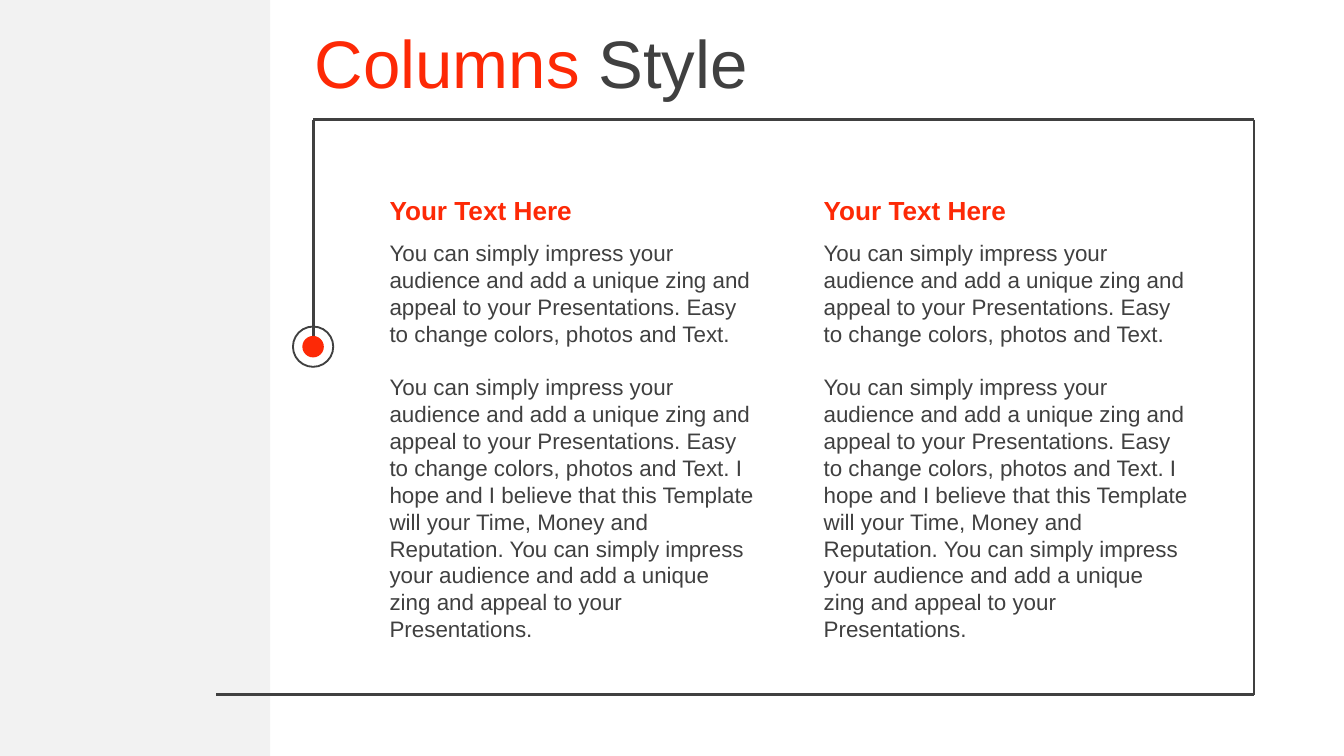
from lxml.etree import SubElement
from pptx import Presentation
from pptx.dml.color import RGBColor
from pptx.enum.shapes import MSO_CONNECTOR, MSO_SHAPE
from pptx.enum.text import MSO_ANCHOR, PP_ALIGN
from pptx.oxml.ns import qn
from pptx.util import Inches, Pt

RED = RGBColor(0xFD, 0x29, 0x06)
DARK = RGBColor(0x40, 0x40, 0x40)
PALE = RGBColor(0xF2, 0xF2, 0xF2)
WIDTH = 10
HEIGHT = WIDTH * 9 / 16
INTRO = (
    "You can simply impress your audience and add a unique zing and appeal "
    "to your Presentations. Easy to change colors, photos and Text."
)
DETAIL = (
    f"{INTRO} I hope and I believe that this Template will your Time, Money "
    "and Reputation. You can simply impress your audience and add a unique "
    "zing and appeal to your Presentations."
)


def add_span(para, text, size=12, color=DARK, bold=False, font="Arial"):
    """Add one formatted run of text to a paragraph."""
    span = para.add_run()
    span.text = text
    span.font.name = font
    span.font.size = Pt(size)
    span.font.bold = bold
    span.font.color.rgb = color


class SlideBuilder:
    """Draw styled elements on the current slide."""

    def __init__(self, slide, line_color=DARK):
        self.slide = slide
        self.line_color = line_color

    def title(self, left, top, width, height, spans):
        box = self.slide.shapes.title
        box.left, box.top = Inches(left), Inches(top)
        box.width, box.height = Inches(width), Inches(height)
        box.text_frame.vertical_anchor = MSO_ANCHOR.MIDDLE
        para = box.text_frame.paragraphs[0]
        para.alignment = PP_ALIGN.LEFT
        for text, color in spans:
            add_span(para, text, size=36, color=color)

    def shape(self, kind, left, top, width, height, fill=None, line_width=None):
        shape = self.slide.shapes.add_shape(
            kind, Inches(left), Inches(top), Inches(width), Inches(height)
        )
        shape.shadow.inherit = False
        if fill is None:
            shape.fill.background()
        else:
            shape.fill.solid()
            shape.fill.fore_color.rgb = fill
        if line_width is None:
            shape.line.fill.background()
        else:
            shape.line.color.rgb = self.line_color
            shape.line.width = Pt(line_width)

    def line(self, start, end):
        line = self.slide.shapes.add_connector(
            MSO_CONNECTOR.STRAIGHT, *map(Inches, (*start, *end))
        )
        line.line.color.rgb = self.line_color
        line.line.width = Pt(1.5)
        SubElement(line._element.spPr, qn("a:effectLst"))

    def text(self, left, top, width, height, texts, gap=0, spacing=None, **style):
        box = self.slide.shapes.add_textbox(
            Inches(left), Inches(top), Inches(width), Inches(height)
        )
        frame = box.text_frame
        frame.word_wrap = True
        for index, text in enumerate(texts):
            para = frame.add_paragraph() if index else frame.paragraphs[0]
            if index:
                para.space_before = Pt(gap)
            if spacing:
                para.line_spacing = Pt(spacing)
            add_span(para, text, **style)


def main():
    deck = Presentation()
    deck.slide_width, deck.slide_height = Inches(WIDTH), Inches(HEIGHT)
    page = SlideBuilder(deck.slides.add_slide(deck.slide_layouts[5]))

    page.shape(MSO_SHAPE.RECTANGLE, -0.01, 0, 2.02, HEIGHT, fill=PALE)
    page.title(2.24, 0.14, 7.56, 0.63, [("Columns", RED), (" Style", DARK)])

    corners = [(2.33, 2.5), (2.33, 0.89), (9.33, 0.89), (9.33, 5.17), (1.61, 5.17)]
    for start, end in zip(corners, corners[1:]):
        page.line(start, end)
    page.shape(MSO_SHAPE.OVAL, 2.25, 2.5, 0.16, 0.16, fill=RED)
    page.shape(MSO_SHAPE.OVAL, 2.18, 2.43, 0.3, 0.3, line_width=1)

    for left in (2.8, 6.03):
        page.text(left, 1.4, 2.91, 0.34, ["Your Text Here"], size=14, color=RED, bold=True)
        page.text(left, 1.73, 2.91, 3.13, [INTRO, DETAIL], gap=14.4, spacing=14.4)

    deck.save("out.pptx")


if __name__ == "__main__":
    main()
